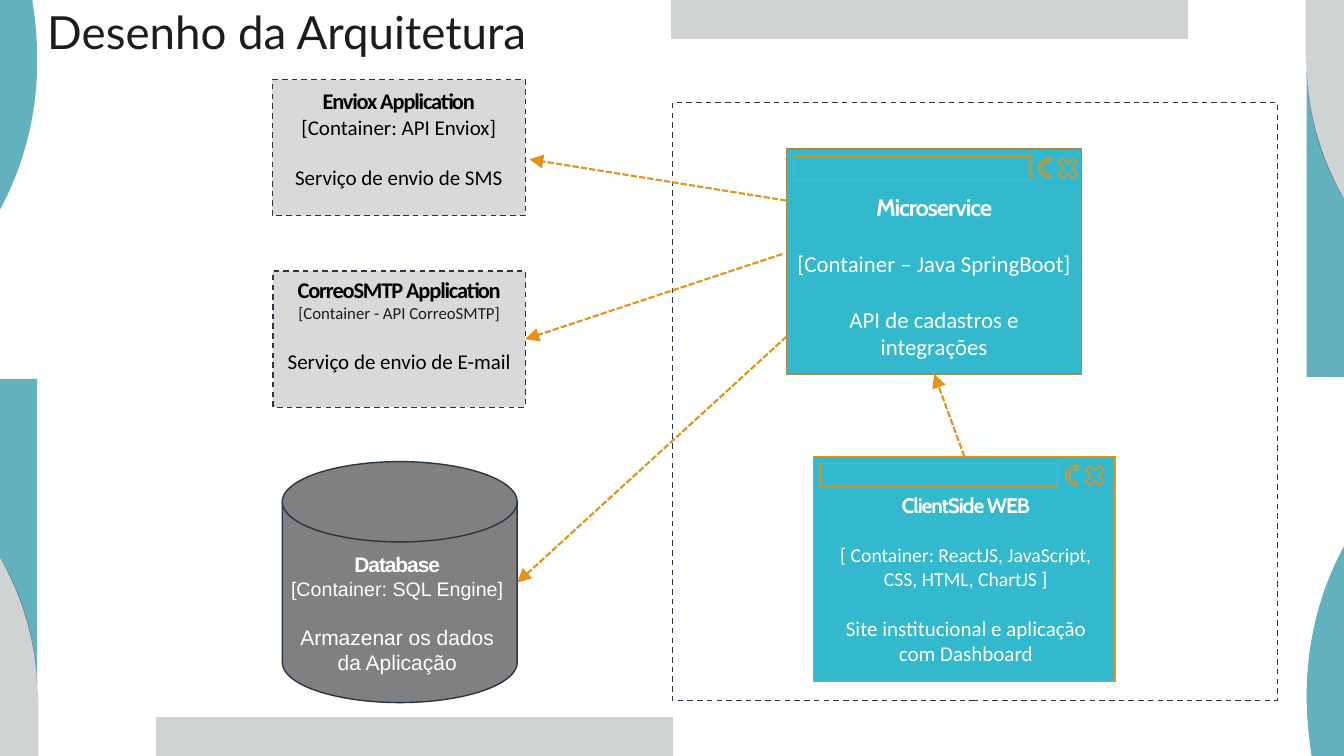
from dataclasses import dataclass

import pptx
import pptx.dml.color
import pptx.enum.dml
import pptx.enum.shapes
import pptx.enum.text
import pptx.oxml
import pptx.oxml.ns
import pptx.util

Inches = pptx.util.Inches
Pt = pptx.util.Pt
ShapeType = pptx.enum.shapes.MSO_SHAPE
Dash = pptx.enum.dml.MSO_LINE
Align = pptx.enum.text.PP_ALIGN
NAMESPACE = pptx.oxml.ns.nsdecls("a")


@dataclass(frozen=True)
class Theme:
    width: float = 13.33
    height: float = 7.5
    teal: str = "63B1BC"
    silver: str = "D0D3D4"
    navy: str = "1F2A44"
    outline: str = "253746"
    orange: str = "E59217"
    bronze: str = "B18748"
    window: str = "32B9CD"
    service: str = "D9D9D9"
    disk: str = "808080"
    ink: str = "1C1C1C"
    black: str = "000000"
    white: str = "FFFFFF"
    title_size: float = 32.6
    window_title: float = 17
    window_body: float = 16.3
    service_title: float = 16
    body: float = 15
    detail: float = 14
    small: float = 12
    tight: int = -80


THEME = Theme()


def color(value):
    return pptx.dml.color.RGBColor.from_string(value)


def add_text(shape, text, first=False, font="Calibri", size=THEME.body, ink=THEME.white,
             bold=False, align=Align.CENTER, before=0, line_spacing=None):
    frame = shape.text_frame
    paragraph = frame.paragraphs[0] if first else frame.add_paragraph()
    paragraph.alignment = align
    paragraph.space_before = Pt(before)
    if line_spacing:
        paragraph.line_spacing = line_spacing
    run = paragraph.add_run()
    run.text = text
    run.font.name = font
    run.font.size = Pt(size)
    run.font.bold = bold
    run.font.color.rgb = color(ink)
    if bold:
        run.font._element.set("spc", str(THEME.tight))


def add_box(slide, left, top, width, height):
    box = slide.shapes.add_textbox(Inches(left), Inches(top), Inches(width), Inches(height))
    box.text_frame.word_wrap = True
    return box


def add_shape(slide, kind, left, top, width, height, fill=None, line=THEME.outline, dash=None):
    shape = slide.shapes.add_shape(kind, Inches(left), Inches(top), Inches(width), Inches(height))
    shape.shadow.inherit = False
    if fill:
        shape.fill.solid()
        shape.fill.fore_color.rgb = color(fill)
    else:
        shape.fill.background()
    shape.line.color.rgb = color(line)
    shape.line.width = Pt(1)
    if dash:
        shape.line.dash_style = dash
    return shape


def add_outline(slide, points, curve_starts, fill):
    points = [(Inches(x), Inches(y)) for x, y in points]
    builder = slide.shapes.build_freeform(*points[0], scale=1.0)
    builder.add_line_segments(points[1:], close=True)
    shape = builder.convert_to_shape()
    segments = list(shape._element.iter(pptx.oxml.ns.qn("a:lnTo")))
    for start in curve_starts:
        bezier = pptx.oxml.parse_xml(f"<a:cubicBezTo {NAMESPACE}/>")
        segments[start].addprevious(bezier)
        for segment in segments[start:start + 3]:
            bezier.append(segment[0])
            segment.getparent().remove(segment)
    shape.shadow.inherit = False
    shape.fill.solid()
    shape.fill.fore_color.rgb = color(fill)
    shape.line.fill.background()


def draw_edges(slide):
    arc = [(0, 5.53), (0.22, 5.9), (0.35, 6.33), (0.37, 6.79)]
    inner_arc = [(0.37, 6.8), (0.35, 6.34), (0.22, 5.91), (0, 5.53)]
    leaf = [(0, 0), (0, 2.08), (0.24, 1.64), (0.37, 1.13), (0.37, 0.6),
            (0.37, 0.39), (0.35, 0.19), (0.32, 0)]
    pieces = [
        (leaf, (1, 4), THEME.teal),
        ([(1.55, 7.11), (6.67, 7.11), (6.67, 7.5), (1.55, 7.5)], (), THEME.silver),
        ([(0.37, 3.76), (0, 3.76)] + arc, (2,), THEME.teal),
        ([(0, 7.5), (0.38, 7.5), (0.38, 6.92)] + inner_arc, (3,), THEME.silver),
        (arc + inner_arc, (0, 4), THEME.navy),
    ]
    for points, curve_starts, fill in pieces:
        opposite = [(THEME.width - x, THEME.height - y) for x, y in points]
        add_outline(slide, points, curve_starts, fill)
        add_outline(slide, opposite, curve_starts, fill)


def draw_title(slide, left, top, width, height):
    title = add_box(slide, left, top, width, height)
    add_text(title, "Desenho da Arquitetura", first=True, font="Lato", size=THEME.title_size,
             ink=THEME.ink, align=Align.LEFT, line_spacing=0.9)


def draw_window(slide, left, top, width, height, line):
    window = add_shape(slide, ShapeType.RECTANGLE, left, top, width, height, THEME.window, line)
    add_shape(slide, ShapeType.RECTANGLE, left + 0.07, top + 0.07, 2.35, 0.23, line=THEME.orange)
    add_shape(slide, ShapeType.MATH_MULTIPLY, left + 2.66, top + 0.04, 0.26, 0.3,
              line=THEME.orange)
    reload_icon = add_shape(slide, ShapeType.CIRCULAR_ARROW, left + 2.51, top + 0.06, 0.22, 0.26,
                            line=THEME.orange)
    reload_icon.rotation = 275
    return window


def draw_microservice(slide, left, top, width, height):
    window = draw_window(slide, left, top, width, height, THEME.bronze)
    frame = window.text_frame
    frame.word_wrap = True
    frame.vertical_anchor = pptx.enum.text.MSO_ANCHOR.TOP
    frame.margin_top = Inches(0.43)
    frame.margin_left = frame.margin_right = Inches(0.08)
    add_text(window, "Microservice", first=True, font="Cabin", size=THEME.window_title, bold=True)
    add_text(window, "[Container – Java SpringBoot]", size=THEME.window_body, before=20.7)
    add_text(window, "API de cadastros e integrações", size=THEME.window_body, before=19.9)
    return window


def draw_client(slide, left, top, width, height):
    window = draw_window(slide, left, top, width, height, THEME.orange)
    box = add_box(slide, left + 0.08, top + 0.31, width - 0.13, height - 0.4)
    add_text(box, "ClientSide WEB", first=True, font="Cabin", bold=True)
    add_text(box, "[ Container: ReactJS, JavaScript, CSS, HTML, ChartJS ]",
             size=THEME.detail, before=18)
    add_text(box, "Site institucional e aplicação com Dashboard", before=18)
    return window


def draw_database(slide, left, top, width, height):
    add_shape(slide, ShapeType.FLOWCHART_MAGNETIC_DISK, left, top, width, height, THEME.disk)
    box = add_box(slide, left - 0.03, top + 0.84, width + 0.01, 1.35)
    add_text(box, "Database", first=True, font="Arial", bold=True)
    add_text(box, "[Container: SQL Engine]", font="Arial", size=THEME.detail)
    add_text(box, "Armazenar os dados da Aplicação", font="Arial", before=17.5)


def draw_service(slide, left, top, width, height, texts, text_offset, detail_size, detail_ink):
    service = add_shape(slide, ShapeType.RECTANGLE, left, top, width, height, THEME.service,
                        dash=Dash.DASH)
    box = add_box(slide, left, top + text_offset, width, 1.1)
    name, detail, purpose = texts
    add_text(box, name, first=True, size=THEME.service_title, ink=THEME.black, bold=True)
    add_text(box, detail, size=detail_size, ink=detail_ink)
    add_text(box, purpose, ink=THEME.black, before=18)
    return service


def draw_arrow(slide, start, end, begin=None, finish=None):
    arrow = slide.shapes.add_connector(pptx.enum.shapes.MSO_CONNECTOR.STRAIGHT,
                                       *map(Inches, start + end))
    if begin:
        arrow.begin_connect(*begin)
    if finish:
        arrow.end_connect(*finish)
    arrow.line.color.rgb = color(THEME.orange)
    arrow.line.width = Pt(1.5)
    arrow.line.dash_style = Dash.SQUARE_DOT
    properties = arrow._element.spPr
    properties.get_or_add_ln().append(
        pptx.oxml.parse_xml(f'<a:tailEnd {NAMESPACE} type="triangle" w="lg" len="lg"/>'))
    properties.append(pptx.oxml.parse_xml(f"<a:effectLst {NAMESPACE}/>"))


def draw_architecture(slide):
    add_shape(slide, ShapeType.RECTANGLE, 6.67, 1.02, 6, 5.93, dash=Dash.DASH)
    draw_database(slide, 2.8, 4.58, 2.33, 2.39)
    microservice = draw_microservice(slide, 7.8, 1.48, 2.93, 2.23)
    client = draw_client(slide, 8.07, 4.53, 2.99, 2.23)
    draw_service(slide, 2.7, 0.79, 2.51, 1.35,
                 ("Enviox Application", "[Container: API Enviox]", "Serviço de envio de SMS"),
                 0.03, THEME.body, THEME.black)
    mail = draw_service(slide, 2.71, 2.69, 2.5, 1.35,
                        ("CorreoSMTP Application", "[Container - API CorreoSMTP]",
                         "Serviço de envio de E-mail"), 0, THEME.small, THEME.ink)
    draw_arrow(slide, (7.8, 3.34), (5.13, 5.78))
    draw_arrow(slide, (9.57, 4.53), (9.27, 3.71), begin=(client, 0), finish=(microservice, 2))
    draw_arrow(slide, (7.8, 1.99), (5.25, 1.58))
    draw_arrow(slide, (7.76, 2.52), (5.21, 3.36), finish=(mail, 3))


def main():
    presentation = pptx.Presentation()
    presentation.slide_width = Inches(THEME.width)
    presentation.slide_height = Inches(THEME.height)
    slide = presentation.slides.add_slide(presentation.slide_layouts[6])
    draw_edges(slide)
    draw_title(slide, 0.37, 0.05, 11.88, 0.62)
    draw_architecture(slide)
    presentation.save("out.pptx")


if __name__ == "__main__":
    main()
